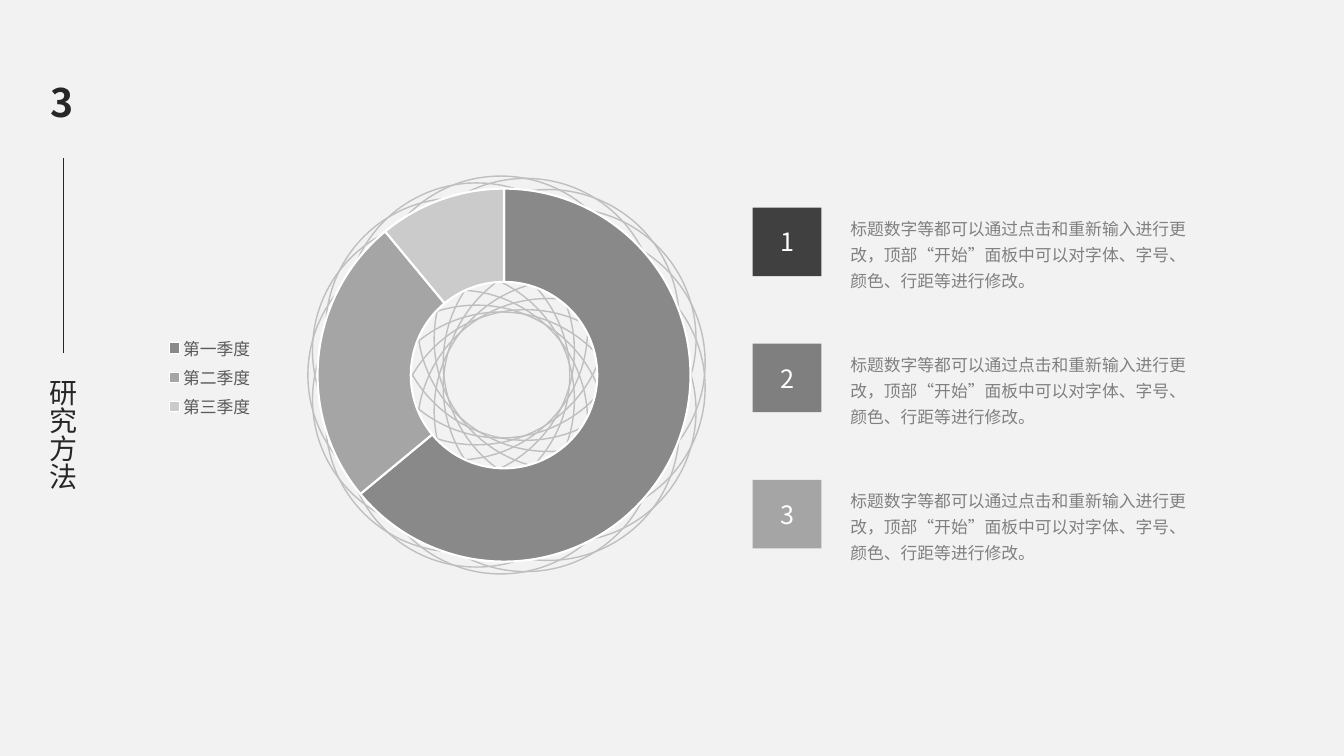
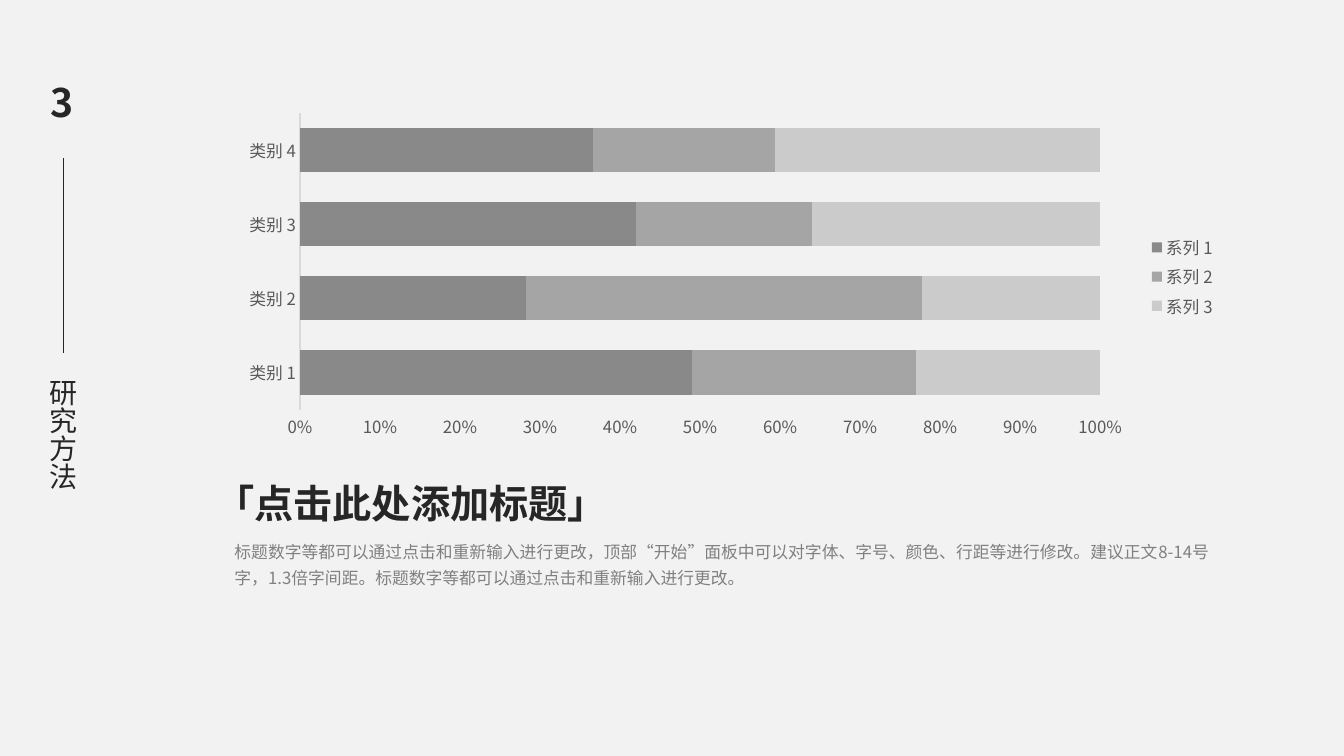
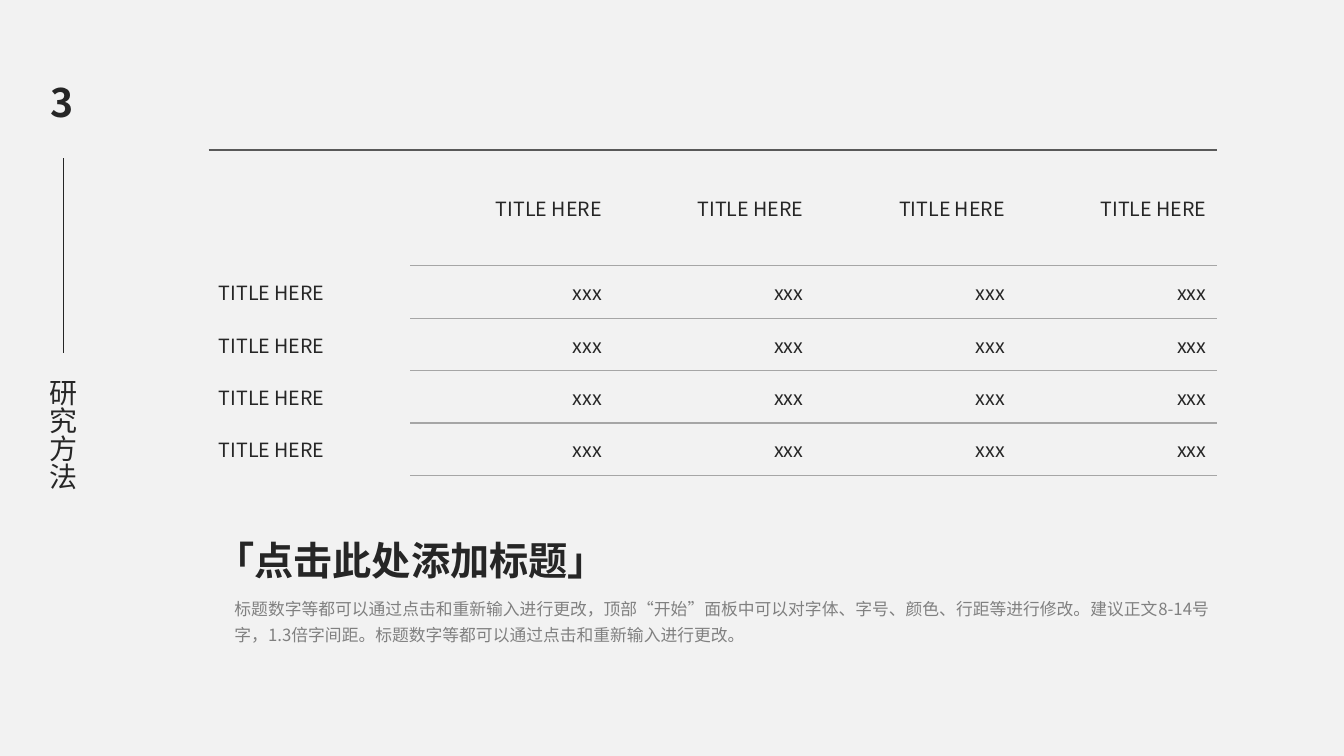
from dataclasses import dataclass
from math import cos, pi, sin

from lxml.etree import SubElement
from pptx import Presentation
from pptx.chart.chart import Chart
from pptx.chart.data import CategoryChartData
from pptx.dml.color import RGBColor
from pptx.enum.chart import XL_CHART_TYPE, XL_LEGEND_POSITION, XL_TICK_MARK
from pptx.enum.shapes import MSO_CONNECTOR, MSO_SHAPE
from pptx.enum.text import MSO_ANCHOR, MSO_AUTO_SIZE, PP_ALIGN
from pptx.oxml import parse_xml
from pptx.oxml.ns import nsdecls, qn
from pptx.presentation import Presentation as Deck
from pptx.shapes.autoshape import Shape
from pptx.slide import Slide
from pptx.table import _Cell
from pptx.text.text import Font, TextFrame
from pptx.util import Cm, Pt

FONT = "Noto Sans CJK SC"
PAPER, INK, BODY, RING, WHITE = "F2F2F2", "262626", "808080", "BFBFBF", "FFFFFF"
LABEL, AXIS, RULE, TOP_RULE = "595959", "D9D9D9", "A6A6A6", "595959"
SERIES_COLOURS = ("898989", "A5A5A5", "CBCBCB")
NO_STYLE = "{2D5ABB26-0587-4C30-8999-92F81FD0307C}"
HINT = "标题数字等都可以通过点击和重新输入进行更改，顶部“开始”面板中可以对字体、字号、颜色、行距等进行修改。"
ADVICE = HINT + "建议正文8-14号字，1.3倍字间距。标题数字等都可以通过点击和重新输入进行更改。"


@dataclass(frozen=True)
class Box:
    left: float
    top: float
    width: float
    height: float

    def emu(self) -> tuple[Cm, Cm, Cm, Cm]:
        return Cm(self.left), Cm(self.top), Cm(self.width), Cm(self.height)


@dataclass(frozen=True)
class Step:
    number: str
    fill: str


STEPS = (Step("1", "404040"), Step("2", "7F7F7F"), Step("3", "A5A5A5"))


def rgb(colour: str) -> RGBColor:
    return RGBColor.from_string(colour)


def style_font(font: Font, size: float, colour: str, bold: bool = False) -> None:
    font.size = Pt(size)
    font.bold = bold
    font.name = FONT
    font.color.rgb = rgb(colour)
    latin = font._rPr.find(qn("a:latin"))
    ea = SubElement(font._rPr, qn("a:ea"), typeface=FONT)
    latin.addnext(ea)


def write(tf: TextFrame, text: str, *, size: float, colour: str = INK, bold: bool = False,
          align: PP_ALIGN = PP_ALIGN.LEFT, spacing: float | None = None,
          before: float | None = None) -> None:
    p = tf.paragraphs[0]
    p.alignment = align
    if spacing:
        p.line_spacing = spacing
    if before:
        p.space_before = Pt(before)
    r = p.add_run()
    r.text = text
    style_font(r.font, size, colour, bold)


def add_text(s: Slide, box: Box, text: str, *, middle: bool = False,
             vertical: bool = False, **fmt) -> None:
    tf = s.shapes.add_textbox(*box.emu()).text_frame
    tf.word_wrap = True
    if middle:
        tf.vertical_anchor = MSO_ANCHOR.MIDDLE
    else:
        tf.auto_size = MSO_AUTO_SIZE.SHAPE_TO_FIT_TEXT
    if vertical:
        tf._txBody.bodyPr.set("vert", "eaVert")
    write(tf, text, **fmt)


def add_shape(s: Slide, kind: MSO_SHAPE, box: Box, fill: str | None = None,
              line: str | None = None) -> Shape:
    sp = s.shapes.add_shape(kind, *box.emu())
    sp.shadow.inherit = False
    if fill:
        sp.fill.solid()
        sp.fill.fore_color.rgb = rgb(fill)
    else:
        sp.fill.background()
    if line:
        sp.line.color.rgb = rgb(line)
        sp.line.width = Pt(1)
    else:
        sp.line.fill.background()
    return sp


def add_section_slide(prs: Deck) -> Slide:
    s = prs.slides.add_slide(prs.slide_layouts[6])
    line = s.shapes.add_connector(MSO_CONNECTOR.STRAIGHT, Cm(1.6), Cm(3.99), Cm(1.6), Cm(8.9))
    line.line.color.rgb = rgb(INK)
    line.line.width = Pt(0.5)
    SubElement(line._element.spPr, qn("a:effectLst"))
    add_text(s, Box(0.61, 1.55, 1.93, 2.03), "3", middle=True, size=28, bold=True,
             align=PP_ALIGN.CENTER, before=10)
    add_text(s, Box(0.81, 9.3, 1.52, 8.28), "研究方法", middle=True, vertical=True,
             size=20, before=10)
    return s


def add_caption(s: Slide, top: float) -> None:
    add_text(s, Box(5.18, top, 11.51, 1.45), "「点击此处添加标题」", size=28, bold=True)
    add_text(s, Box(5.66, top + 1.42, 25.25, 1.6), ADVICE, size=12, colour=BODY, spacing=1.3)


def add_chart(s: Slide, kind: XL_CHART_TYPE, box: Box, categories: tuple[str, ...],
              series: dict[str, tuple[int, ...]], legend: XL_LEGEND_POSITION,
              plot_area: Box) -> Chart:
    data = CategoryChartData()
    data.categories = categories
    for name, values in series.items():
        data.add_series(name, values)
    chart = s.shapes.add_chart(kind, *box.emu(), data).chart
    chart.has_title = False
    style_font(chart.font, 12, LABEL)
    chart.has_legend = True
    chart.legend.position = legend
    chart.legend.include_in_layout = False
    style_font(chart.legend.font, 12, LABEL)
    area = chart._chartSpace.chart.plotArea
    for old in area.findall(qn("c:layout")):
        area.remove(old)
    area.insert(0, parse_xml(
        f'<c:layout {nsdecls("c")}><c:manualLayout><c:layoutTarget val="inner"/>'
        '<c:xMode val="edge"/><c:yMode val="edge"/>'
        f'<c:x val="{plot_area.left}"/><c:y val="{plot_area.top}"/>'
        f'<c:w val="{plot_area.width}"/><c:h val="{plot_area.height}"/>'
        '</c:manualLayout></c:layout>'))
    return chart


def add_rings(s: Slide) -> None:
    x, y, radius, orbit, count = 12.78, 9.45, 3.3, 1.72, 17
    centres = [(x, y)]
    for i in range(count):
        angle = pi + 2 * pi * i / count
        centres.append((x + orbit * cos(angle), y + orbit * sin(angle)))
    for cx, cy in centres:
        add_shape(s, MSO_SHAPE.OVAL, Box(cx - radius, cy - radius, 2 * radius, 2 * radius),
                  line=RING)


def build_doughnut_slide(prs: Deck) -> None:
    s = add_section_slide(prs)
    add_rings(s)
    chart = add_chart(s, XL_CHART_TYPE.DOUGHNUT, Box(3.91, 4.45, 15.16, 10.11),
                      ("第一季度", "第二季度", "第三季度"), {"Series 1": (64, 25, 11)},
                      XL_LEGEND_POSITION.LEFT, Box(0.27, 0.03, 0.62, 0.93))
    plot = chart.plots[0]
    plot._element.find(qn("c:holeSize")).set("val", "62")
    for i, colour in enumerate(SERIES_COLOURS):
        fmt = plot.series[0].points[i].format
        fmt.fill.solid()
        fmt.fill.fore_color.rgb = rgb(colour)
        fmt.line.color.rgb = rgb(WHITE)
        fmt.line.width = Pt(1.5)
    for i, step in enumerate(STEPS):
        top = 5.23 + 3.43 * i
        sp = add_shape(s, MSO_SHAPE.RECTANGLE, Box(18.97, top, 1.73, 1.73), step.fill)
        sp.text_frame.vertical_anchor = MSO_ANCHOR.MIDDLE
        write(sp.text_frame, step.number, size=18, colour=WHITE, align=PP_ALIGN.CENTER)
        add_text(s, Box(21.18, top, 9.14, 2.26), HINT, size=12, colour=BODY, spacing=1.3)


def build_bar_slide(prs: Deck) -> None:
    s = add_section_slide(prs)
    series = {"系列 1": (49, 28, 42, 37), "系列 2": (28, 49, 22, 23), "系列 3": (23, 22, 36, 41)}
    chart = add_chart(s, XL_CHART_TYPE.BAR_STACKED_100, Box(5.64, 2.69, 25.27, 8.56),
                      tuple(f"类别 {n}" for n in range(1, 5)), series,
                      XL_LEGEND_POSITION.RIGHT, Box(0.076, 0.018, 0.798, 0.874))
    plot = chart.plots[0]
    plot.gap_width = 68
    plot.overlap = 100
    for ser, colour in zip(plot.series, SERIES_COLOURS):
        ser.format.fill.solid()
        ser.format.fill.fore_color.rgb = rgb(colour)
    for axis in (chart.category_axis, chart.value_axis):
        axis.has_major_gridlines = False
        axis.major_tick_mark = XL_TICK_MARK.NONE
        axis.minor_tick_mark = XL_TICK_MARK.NONE
        style_font(axis.tick_labels.font, 12, LABEL)
    chart.category_axis.format.line.color.rgb = rgb(AXIS)
    chart.category_axis.format.line.width = Pt(0.75)
    chart.value_axis.format.line.fill.background()
    chart.value_axis.tick_labels.number_format = "0%"
    chart.value_axis.tick_labels.number_format_is_linked = False
    add_caption(s, 11.96)


def set_border(cell: _Cell, side: str, colour: str, width: float) -> None:
    borders = cell._tc.get_or_add_tcPr()
    line = parse_xml(
        f'<a:{side} {nsdecls("a")} w="{Pt(width)}"><a:solidFill>'
        f'<a:srgbClr val="{colour}"/></a:solidFill></a:{side}>')
    borders.insert(0 if side == "lnT" else len(borders) - 1, line)


def build_table_slide(prs: Deck) -> None:
    s = add_section_slide(prs)
    rows = [["", *["TITLE HERE"] * 4], *[["TITLE HERE", *["xxx"] * 4]] * 4]
    frame = s.shapes.add_table(5, 5, *Box(5.26, 3.78, 25.4, 8.2).emu())
    table = frame.table
    table.first_row = False
    table.horz_banding = False
    table._tbl.tblPr.find(qn("a:tableStyleId")).text = NO_STYLE
    for i, row in enumerate(table.rows):
        row.height = Cm(1.32 if i else 2.92)
    for col in table.columns:
        col.width = Cm(5.08)
    for i, texts in enumerate(rows):
        for j, text in enumerate(texts):
            cell = table.cell(i, j)
            cell.fill.background()
            cell.vertical_anchor = MSO_ANCHOR.MIDDLE
            if text:
                write(cell.text_frame, text, size=14,
                      align=PP_ALIGN.RIGHT if j else PP_ALIGN.LEFT)
            if i == 0:
                set_border(cell, "lnT", TOP_RULE, 2.25)
            elif j:
                set_border(cell, "lnT", RULE, 1)
            if j:
                set_border(cell, "lnB", RULE, 1)
    add_caption(s, 13.39)


def main() -> None:
    prs = Presentation()
    prs.slide_width = Cm(33.87)
    prs.slide_height = Cm(19.05)
    background = prs.slide_master.background.fill
    background.solid()
    background.fore_color.rgb = rgb(PAPER)
    build_doughnut_slide(prs)
    build_bar_slide(prs)
    build_table_slide(prs)
    prs.save("out.pptx")


if __name__ == "__main__":
    main()
